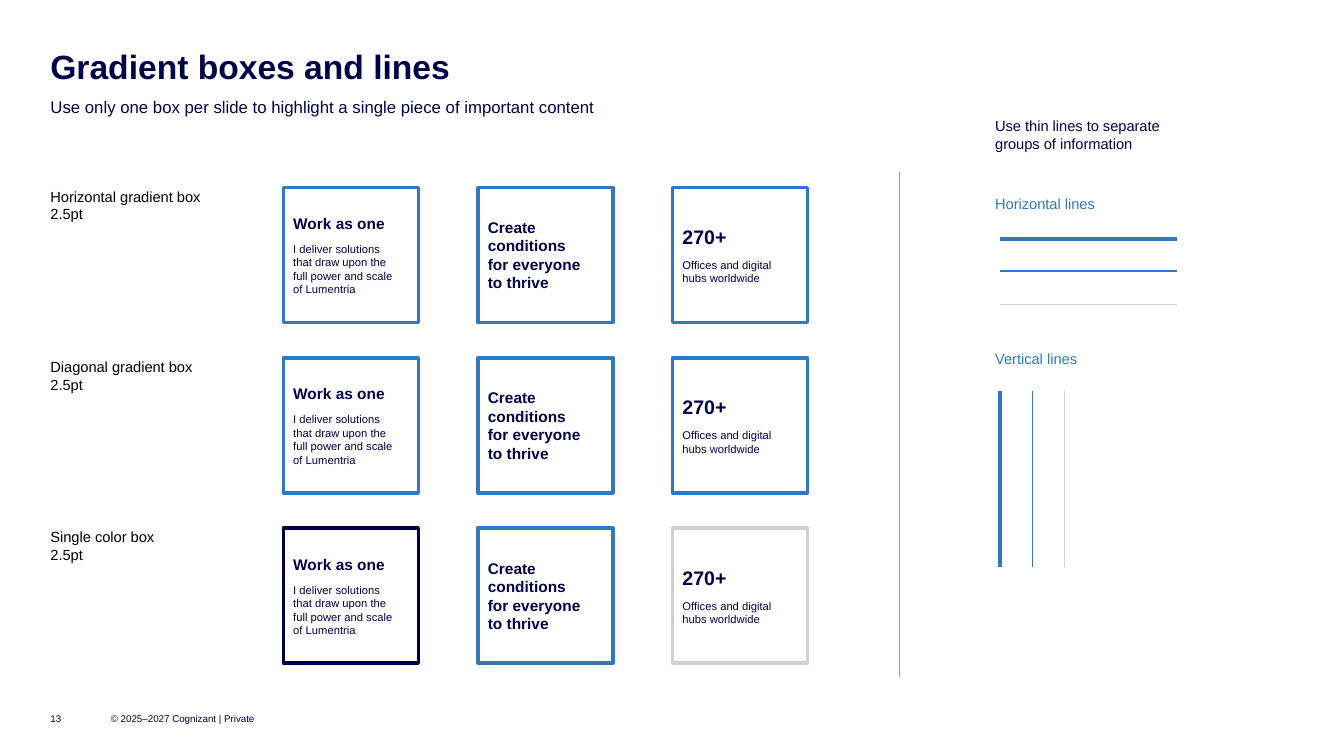
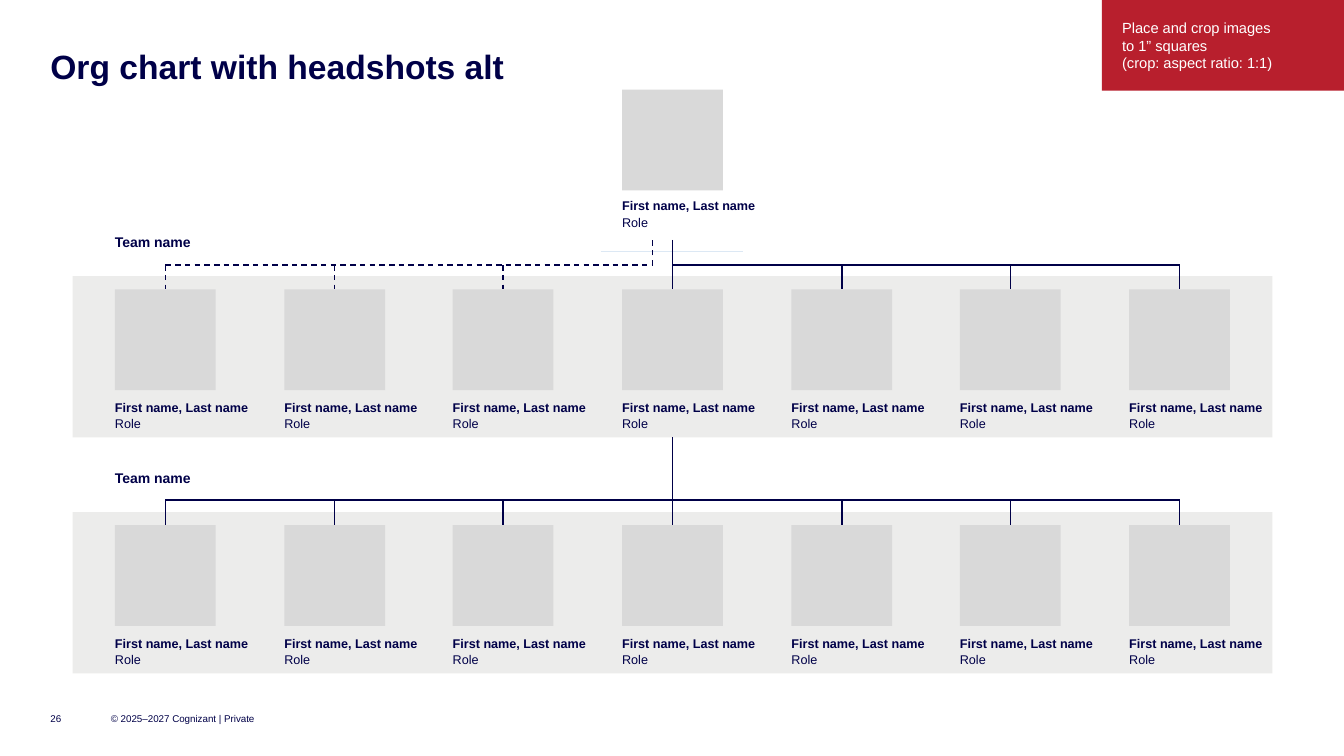
from copy import deepcopy
from dataclasses import dataclass

from lxml.etree import SubElement
from pptx import Presentation
from pptx.dml.color import RGBColor
from pptx.enum.dml import MSO_LINE
from pptx.enum.shapes import MSO_CONNECTOR, MSO_SHAPE
from pptx.enum.text import MSO_ANCHOR as Anchor, PP_ALIGN
from pptx.oxml.ns import qn
from pptx.util import Pt


@dataclass(frozen=True)
class Theme:
    font: str = "Arial"
    navy: str = "000048"
    blue: str = "2F78C4"
    pale_blue: str = "DCE8F4"
    black: str = "000000"
    white: str = "FFFFFF"
    silver: str = "D0D0CE"
    divider: str = "97999B"
    band: str = "ECECEB"
    headshot: str = "D9D9D9"
    red: str = "B81F2D"
    title: float = 24
    subtitle: float = 12
    figure: float = 14
    heading: float = 11
    label: float = 10.5
    team: float = 10
    person: float = 9
    detail: float = 8
    footer: float = 7
    thick: float = 2.5
    thin: float = 1
    hairline: float = 0.25


THEME = Theme()
PX = 9144
SLIDE_W, SLIDE_H = 1333, 750

COPYRIGHT = "© 2025–2027 Cognizant | Private"

BOXES_TITLE = "Gradient boxes and lines"
BOXES_SUBTITLE = "Use only one box per slide to highlight a single piece of important content"
BOX_ROWS = [
    ("Horizontal gradient box", (THEME.blue, THEME.blue, THEME.blue)),
    ("Diagonal gradient box", (THEME.blue, THEME.blue, THEME.blue)),
    ("Single color box", (THEME.navy, THEME.blue, THEME.silver)),
]
BOX_WEIGHT = "2.5pt"
BOX_CONTENTS = [
    ("Work as one", THEME.heading,
     "I deliver solutions\nthat draw upon the\nfull power and scale\nof Lumentria"),
    ("Create conditions\nfor everyone\nto thrive", THEME.heading, None),
    ("270+", THEME.figure, "Offices and digital\nhubs worldwide"),
]
LINES_ADVICE = "Use thin lines to separate groups of information"
LINE_HEADINGS = [("Horizontal lines", 193), ("Vertical lines", 347)]
LINE_SAMPLES = [
    (THEME.blue, THEME.thick),
    (THEME.blue, THEME.thin),
    (THEME.silver, THEME.thin),
]

ORG_TITLE = "Org chart with headshots alt"
CROP_ADVICE = "Place and crop images\nto 1” squares\n(crop: aspect ratio: 1:1)"
TEAM = "Team name"
PERSON, ROLE = "First name, Last name", "Role"
TEAM_TOPS = (274, 508)
TEAM_SIZE = 7


def rgb(color):
    return RGBColor.from_string(color)


def para(text, size, color=THEME.navy, bold=False, spacing=1.0, before=0):
    return text, size, color, bold, spacing, before


def write(frame, paras, anchor=Anchor.TOP, insets=(0, 0)):
    frame.word_wrap = True
    frame.vertical_anchor = anchor
    frame.margin_left = frame.margin_right = insets[0] * PX
    frame.margin_top = frame.margin_bottom = insets[1] * PX
    for index, (text, size, color, bold, spacing, before) in enumerate(paras):
        line = frame.add_paragraph() if index else frame.paragraphs[0]
        line.text = text
        line.alignment = PP_ALIGN.LEFT
        line.line_spacing = spacing
        line.space_before = Pt(before)
        for run in line.runs:
            run.font.name = THEME.font
            run.font.size = Pt(size)
            run.font.bold = bold
            run.font.color.rgb = rgb(color)
        for line_break in line._p.findall(qn("a:br")):
            line_break.append(deepcopy(line.runs[0]._r.rPr))


def add_text(slide, left, top, width, height, paras, anchor=Anchor.TOP):
    box = slide.shapes.add_textbox(left * PX, top * PX, width * PX, height * PX)
    write(box.text_frame, paras, anchor)


def add_rect(slide, left, top, width, height, fill=None, outline=None):
    rect = slide.shapes.add_shape(
        MSO_SHAPE.RECTANGLE, left * PX, top * PX, width * PX, height * PX)
    rect.shadow.inherit = False
    if fill:
        rect.fill.solid()
        rect.fill.fore_color.rgb = rgb(fill)
    else:
        rect.fill.background()
    if outline:
        rect.line.color.rgb = rgb(outline)
        rect.line.width = Pt(THEME.thick)
    else:
        rect.line.fill.background()
    return rect


def add_line(slide, x1, y1, x2, y2, color=THEME.navy, weight=THEME.thin, dashed=False):
    line = slide.shapes.add_connector(
        MSO_CONNECTOR.STRAIGHT, x1 * PX, y1 * PX, x2 * PX, y2 * PX)
    line.line.color.rgb = rgb(color)
    line.line.width = Pt(weight)
    if dashed:
        line.line.dash_style = MSO_LINE.DASH
    SubElement(line._element.spPr, qn("a:effectLst"))


def new_slide(deck, title, number):
    slide = deck.slides.add_slide(deck.slide_layouts[6])
    add_text(slide, 50, 50, 1233, 36,
             [para(title, THEME.title, bold=True, spacing=0.9)])
    for text, left, width in ((number, 50, 40), (COPYRIGHT, 110, 150)):
        add_text(slide, left, 700, width, 25,
                 [para(text, THEME.footer)], Anchor.MIDDLE)
    return slide


def build_boxes(deck):
    slide = new_slide(deck, BOXES_TITLE, "13")
    add_text(slide, 50, 94, 761, 20,
             [para(BOXES_SUBTITLE, THEME.subtitle, spacing=1.1)])
    for row, (label, outlines) in enumerate(BOX_ROWS):
        top = 186 + 169 * row
        add_text(slide, 50, top, 222, 35,
                 [para(text, THEME.label, THEME.black) for text in (label, BOX_WEIGHT)])
        for column, (heading, size, detail) in enumerate(BOX_CONTENTS):
            box = add_rect(slide, 281 + 193 * column, top, 134, 134,
                           outline=outlines[column])
            paras = [para(heading, size, bold=True)]
            if detail:
                paras.append(para(detail, THEME.detail, before=7))
            write(box.text_frame, paras, Anchor.MIDDLE, (10, 10))

    add_line(slide, 892, 171, 892, 672, THEME.divider)
    add_text(slide, 987, 116, 202, 36, [para(LINES_ADVICE, THEME.label)])
    for heading, top in LINE_HEADINGS:
        add_text(slide, 987, top, 222, 18, [para(heading, THEME.label, THEME.blue)])
    for index, (color, weight) in enumerate(LINE_SAMPLES):
        y = 237 + 65 * index // 2
        x = 992 + 32 * index
        add_line(slide, 992, y, 1167, y, color, weight)
        add_line(slide, x, 388, x, 563, color, weight)


def add_person(slide, left, top, caption_gap):
    add_rect(slide, left, top, 100, 100, THEME.headshot)
    add_text(slide, left, top + 100 + caption_gap, 141, 32,
             [para(PERSON, THEME.person, bold=True, spacing=1.1),
              para(ROLE, THEME.person, spacing=1.1)])


def add_branch(slide, centers, bus, bottom, dashed=False):
    for center in centers:
        add_line(slide, center, bus, center, bottom, dashed=dashed)


def build_org_chart(deck):
    slide = new_slide(deck, ORG_TITLE, "26")
    lefts = [114 + round(1006 * i / (TEAM_SIZE - 1)) for i in range(TEAM_SIZE)]
    centers = [left + 50 for left in lefts]
    middle = TEAM_SIZE // 2
    leader = centers[middle]
    advisor = leader - 20

    for top in TEAM_TOPS:
        add_rect(slide, 72, top, 1190, 160, THEME.band)
        add_text(slide, 114, top - 42, 140, 17, [para(TEAM, THEME.team, bold=True)])

    upper, lower = TEAM_TOPS
    upper_bus, lower_bus = upper - 11, lower - 12
    add_line(slide, 596, 249, 737, 249, THEME.pale_blue, THEME.hairline)
    add_line(slide, centers[0], upper_bus, advisor, upper_bus, dashed=True)
    add_line(slide, advisor, upper_bus, advisor, 238, dashed=True)
    add_branch(slide, centers[:middle], upper_bus, upper + 13, dashed=True)
    add_line(slide, leader, upper_bus, centers[-1], upper_bus)
    add_line(slide, leader, 238, leader, upper_bus)
    add_branch(slide, centers[middle:], upper_bus, upper + 13)
    add_line(slide, centers[0], lower_bus, centers[-1], lower_bus)
    add_line(slide, leader, upper + 160, leader, lower_bus)
    add_branch(slide, centers, lower_bus, lower + 13)

    add_person(slide, lefts[middle], 89, 6)
    for top in TEAM_TOPS:
        for left in lefts:
            add_person(slide, left, top + 13, 8)

    advice = add_rect(slide, 1093, 0, 240, 90, THEME.red)
    write(advice.text_frame, [para(CROP_ADVICE, THEME.label, THEME.white)],
          Anchor.MIDDLE, (20, 10))


def main():
    deck = Presentation()
    deck.slide_width, deck.slide_height = SLIDE_W * PX, SLIDE_H * PX
    build_boxes(deck)
    build_org_chart(deck)
    deck.save("out.pptx")


if __name__ == "__main__":
    main()
